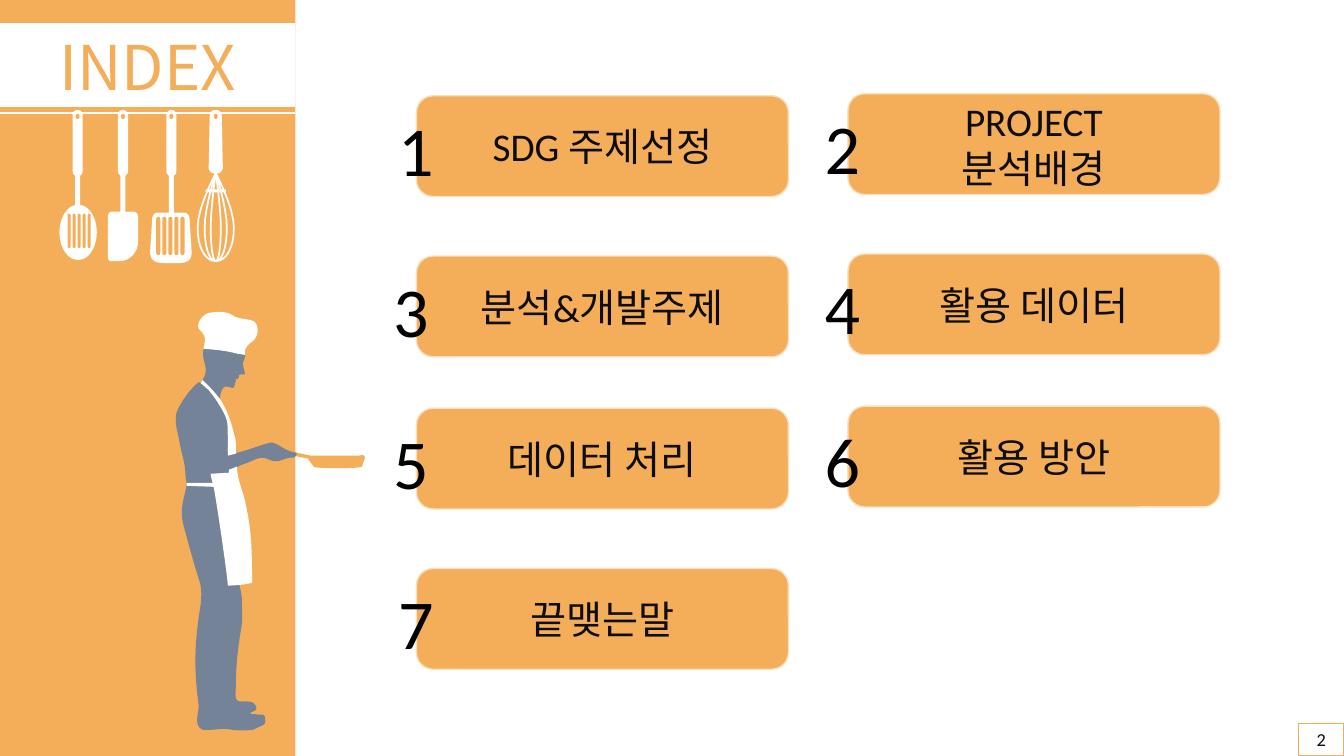
from pptx import Presentation
from pptx.dml.color import RGBColor
from pptx.enum.shapes import MSO_CONNECTOR, MSO_SHAPE
from pptx.enum.text import MSO_ANCHOR, MSO_AUTO_SIZE, PP_ALIGN
from pptx.util import Inches, Pt
from lxml import etree

RECT, ROUND, OVAL = MSO_SHAPE.RECTANGLE, MSO_SHAPE.ROUNDED_RECTANGLE, MSO_SHAPE.OVAL
STRAIGHT = MSO_CONNECTOR.STRAIGHT
TOP, MIDDLE = MSO_ANCHOR.TOP, MSO_ANCHOR.MIDDLE
LEFT, CENTER = PP_ALIGN.LEFT, PP_ALIGN.CENTER
NO_AUTOFIT = MSO_AUTO_SIZE.NONE
DRAWING_NS = "http://schemas.openxmlformats.org/drawingml/2006/main"

ORANGE, PALE, SLATE, WHITE = "F4AE59", "FBDFBD", "748398", "FFFFFF"
INK, BLACK = "0D0D0D", "000000"
BODY_FONT, TITLE_FONT = "Calibri", "Noto Sans CJK KR"
PANEL_WIDTH = 2.93

# Outlines in inches: a start point, then lines (2 numbers) or Bézier curves (6 numbers).
PAN = """3.62 4.54, 3.61 4.5 3.58 4.52 3.55 4.52, 3.1 4.52, 3.08 4.52, 2.85 4.47, 2.85 4.51,
3.06 4.55, 3.06 4.56 3.06 4.57 3.07 4.57, 3.08 4.6 3.1 4.6 3.11 4.63, 3.13 4.65 3.57 4.65 3.59 4.63"""
ARM_AND_HEAD = """2.93 4.49, 2.81 4.47 2.77 4.4 2.69 4.39, 2.56 4.42 2.38 4.5 2.26 4.51,
2.25 4.42 2.29 4.23 2.24 4.1, 2.23 4.07 2.2 4.02 2.18 3.98, 2.18 3.98 2.18 3.8 2.27 3.84,
2.29 3.84 2.31 3.86 2.32 3.84, 2.33 3.83 2.33 3.79 2.34 3.78, 2.35 3.77 2.34 3.77 2.33 3.76,
2.36 3.76 2.37 3.76 2.37 3.72, 2.39 3.71 2.42 3.72 2.43 3.71, 2.43 3.69 2.41 3.65 2.41 3.6,
2.42 3.57 2.44 3.53 2.43 3.5, 2.39 3.3 2.1 3.27 2.02 3.46, 1.99 3.57 2.08 3.65 2.02 3.75"""
BACK = """1.99 3.8, 1.97 3.79 1.98 3.79 1.96 3.8, 1.87 3.88 1.81 3.97 1.76 4.07,
1.72 4.17 1.76 4.27 1.78 4.38, 1.8 4.51 1.84 4.59 1.84 4.72, 1.85 4.79, 1.85 4.82,
1.82 4.97 1.78 5.06 1.82 5.21, 1.86 5.36 1.93 5.62 1.98 5.77, 2 5.83 2 5.93 1.99 6,
1.93 6.36 1.92 6.63 1.97 6.99"""
FEET = """1.98 7.06 1.91 7.2 2.01 7.24, 2.04 7.25 2.21 7.23 2.24 7.23,
2.33 7.25 2.43 7.25 2.51 7.24, 2.53 7.23 2.56 7.22 2.57 7.21, 2.61 7.2 2.64 7.18 2.63 7.13,
2.63 7.08 2.59 7.09 2.56 7.09, 2.52 7.08 2.51 7.09 2.48 7.08, 2.5 7.05 2.56 7.06 2.54 7.01,
2.52 6.95 2.45 6.96 2.41 6.96, 2.31 6.97 2.34 6.89 2.34 6.79"""
FRONT = """2.34 6.6 2.36 6.43 2.39 6.25,
2.41 6.13 2.4 6.08 2.4 5.95, 2.4 5.93 2.39 5.86 2.38 5.83, 2.37 5.78 2.38 5.72 2.38 5.67,
2.36 5.39 2.38 5.24 2.33 4.96, 2.32 4.94 2.25 4.68 2.3 4.66, 2.36 4.64 2.36 4.62 2.43 4.6,
2.51 4.58 2.57 4.51 2.67 4.56, 2.76 4.61 2.83 4.53 2.91 4.54, 2.93 4.54 2.96 4.49 2.93 4.49"""
BODY_PARTS = [ARM_AND_HEAD, BACK, FEET, FRONT]
HAT = """2.02 3.46, 2.03 3.38 2.06 3.35 1.98 3.27, 1.93 3.23 2.01 3.1 2.1 3.1,
2.18 3.09 2.25 3.09 2.31 3.13, 2.36 3.16 2.4 3.16 2.46 3.17, 2.51 3.18 2.54 3.19 2.55 3.24,
2.57 3.3 2.54 3.36 2.5 3.39, 2.46 3.42 2.42 3.45 2.43 3.52, 2.41 3.52 2.38 3.51 2.36 3.51,
2.25 3.48 2.15 3.47 2.02 3.46"""
STRAP = """2.07 3.87, 2.16 3.98 2.23 4.1 2.25 4.17, 2.26 4.19 2.26 4.37 2.26 4.52, 2.34 4.5,
2.34 4.41 2.34 4.36 2.33 4.34, 2.32 4.3 2.28 4.11 2.19 3.97, 2.14 3.9 2.08 3.84 2.01 3.77, 1.99 3.8"""
APRON = """2.44 5.02, 2.42 4.9 2.39 4.86 2.36 4.72, 2.36 4.7 2.35 4.69 2.35 4.63, 2.27 4.66,
2.27 4.69, 2.24 4.69 2.12 4.7 2.09 4.7, 2.09 4.72 2.1 4.76 2.11 4.79, 1.85 4.79, 1.85 4.82, 2.12 4.83,
2.18 5.18 2.26 5.76 2.26 5.81, 2.3 5.81 2.46 5.8 2.5 5.78, 2.5 5.53 2.5 5.27 2.44 5.02"""
TURNER = """1.62 2.61, 1.77 2.61, 1.85 2.61 1.91 2.59 1.9 2.48, 1.88 2.17, 1.88 2.13 1.85 2.11 1.82 2.11,
1.57 2.11, 1.54 2.11 1.51 2.13 1.51 2.17, 1.49 2.48, 1.48 2.59 1.55 2.61 1.62 2.61"""
SCRAPER = """1.11 2.1, 1.32 2.1, 1.35 2.1 1.37 2.12 1.37 2.15, 1.37 2.4, 1.37 2.5 1.29 2.59 1.19 2.59,
1.1 2.59, 1.08 2.59 1.07 2.57 1.07 2.55, 1.07 2.15, 1.07 2.12 1.09 2.1 1.11 2.1"""
WHISK_HANDLE = """2.11 1.72, 2.17 1.72, 2.19 1.71 2.21 1.69 2.21 1.66, 2.2 1.15,
2.2 1.11 2.17 1.09 2.14 1.09, 2.11 1.09 2.08 1.11 2.08 1.15, 2.07 1.66, 2.07 1.69 2.09 1.71 2.11 1.72"""

TOPICS = [["SDG 주제선정"], ["PROJECT", "분석배경"], ["분석&개발주제"], ["활용 데이터"],
          ["데이터 처리"], ["활용 방안"], ["끝맺는말"]]
ROW_TOPS = [0.95, 2.54, 4.05, 5.64]


def rgb(color):
    return RGBColor.from_string(color)


def paint(sp, fill=None, line=None, width=1):
    sp.shadow.inherit = False
    if fill:
        sp.fill.solid()
        sp.fill.fore_color.rgb = rgb(fill)
    else:
        sp.fill.background()
    if line:
        sp.line.color.rgb = rgb(line)
        sp.line.width = Pt(width)
    else:
        sp.line.fill.background()


def add_box(s, kind, x, y, w, h, **look):
    sp = s.shapes.add_shape(kind, Inches(x), Inches(y), Inches(w), Inches(h))
    paint(sp, **look)
    return sp


def write(sp, lines, size=28, color=INK, font=BODY_FONT, align=CENTER, anchor=MIDDLE, spacing=None):
    tf = sp.text_frame
    tf.word_wrap = True
    tf.vertical_anchor = anchor
    for i, line in enumerate(lines):
        p = tf.paragraphs[0] if i == 0 else tf.add_paragraph()
        p.alignment = align
        p.line_spacing = spacing
        r = p.add_run()
        r.text = line
        r.font.size, r.font.name = Pt(size), font
        r.font.color.rgb = rgb(color)


def trace(outline, steps=8):
    """Turn an outline into points, sampling each curve."""
    points = []
    for segment in outline.split(","):
        n = [float(v) for v in segment.split()]
        if len(n) == 2:
            points.append(tuple(n))
            continue
        x0, y0 = points[-1]
        for i in range(1, steps + 1):
            t = i / steps
            u = 1 - t
            a, b, c, d = u ** 3, 3 * u * u * t, 3 * u * t * t, t ** 3
            points.append((a * x0 + b * n[0] + c * n[2] + d * n[4],
                           a * y0 + b * n[1] + c * n[3] + d * n[5]))
    return points


def add_outline(s, outline, close=True, **look):
    points = [(Inches(x), Inches(y)) for x, y in trace(outline)]
    builder = s.shapes.build_freeform(*points[0])
    builder.add_line_segments(points[1:], close=close)
    paint(builder.convert_to_shape(), **look)


def add_rail(s, y):
    rail = s.shapes.add_connector(STRAIGHT, 0, Inches(y), Inches(PANEL_WIDTH), Inches(y))
    rail.line.color.rgb = rgb(WHITE)
    rail.line.width = Pt(1.5)
    etree.SubElement(rail.element.spPr, f"{{{DRAWING_NS}}}effectLst")


def add_hole(s, x):
    add_box(s, OVAL, x - 0.02, 1.13, 0.04, 0.05, fill=ORANGE)


def add_handle(s, x, rod):
    """Draw a hanging grip centred on x with a rod of the given length."""
    add_box(s, ROUND, x - 0.05, 1.09, 0.1, 0.66, fill=WHITE).adjustments[0] = 0.5
    add_box(s, RECT, x - 0.025, 1.69, 0.05, rod, fill=WHITE)
    add_hole(s, x)


def add_slots(s, x, y, step, w, h):
    for i in range(5):
        add_box(s, ROUND, x + i * step, y, w, h, fill=ORANGE).adjustments[0] = 0.5


def add_whisk(s):
    x = 2.14
    for dx in (-0.18, -0.11, -0.05, 0.05, 0.11, 0.18):
        side = x + dx
        wire = (f"{x} 1.72, {x} 1.72 {side} 2.05 {side} 2.26, "
                f"{side} 2.45 {x + dx * 0.6} 2.59 {x} 2.59")
        add_outline(s, wire, close=False, line=WHITE, width=1.25)
    add_box(s, RECT, 2.04, 1.88, 0.2, 0.03, fill=WHITE)
    add_outline(s, WHISK_HANDLE, fill=WHITE)
    add_hole(s, x)


def add_utensils(s):
    for x, rod in ((0.77, 0.37), (1.22, 0.43), (1.7, 0.43)):
        add_handle(s, x, rod)
    add_box(s, OVAL, 0.59, 2.03, 0.37, 0.55, fill=WHITE)
    add_slots(s, 0.67, 2.12, 0.05, 0.03, 0.34)
    add_outline(s, SCRAPER, fill=WHITE)
    add_outline(s, TURNER, fill=WHITE)
    add_slots(s, 1.55, 2.15, 0.06, 0.04, 0.38)
    add_whisk(s)


def add_title(s, text):
    title = s.shapes.title
    title.left, title.top = Inches(0), Inches(0.28)
    title.width, title.height = Inches(PANEL_WIDTH), Inches(0.78)
    paint(title, fill=WHITE)
    write(title, [text], size=44, color=ORANGE, font=TITLE_FONT, spacing=0.9)
    tf = title.text_frame
    tf.auto_size = NO_AUTOFIT
    tf.margin_top = Inches(0.1)
    title.element.getparent().append(title.element)  # bring in front of the panel


def add_topic(s, index, lines):
    row, column = divmod(index, 2)
    x, y = (8.41, ROW_TOPS[row] - 0.02) if column else (4.13, ROW_TOPS[row])
    button = add_box(s, ROUND, x, y, 3.69, 1, fill=ORANGE, line=PALE)
    write(button, lines)
    number_x = 8.08 if column else 3.85 if row in (0, 3) else 3.8
    number = s.shapes.add_textbox(Inches(number_x), Inches(y + 0.06), Inches(0.66), Inches(0.94))
    write(number, [str(index + 1)], size=50, color=BLACK, align=LEFT, anchor=TOP)


def main():
    prs = Presentation()
    prs.slide_width, prs.slide_height = Inches(13.33), Inches(7.5)
    s = prs.slides.add_slide(prs.slide_layouts[5])
    add_box(s, RECT, 0, 0, PANEL_WIDTH, 7.5, fill=ORANGE)
    add_outline(s, PAN, fill=ORANGE)
    add_outline(s, ", ".join(BODY_PARTS), fill=SLATE)
    for outline in (HAT, STRAP, APRON):
        add_outline(s, outline, fill=WHITE)
    add_rail(s, 1.12)
    add_utensils(s)
    add_box(s, RECT, 0, 0.23, PANEL_WIDTH, 0.78, fill=WHITE)
    add_title(s, "INDEX")
    page = add_box(s, RECT, 12.88, 7.18, 0.45, 0.32, line=ORANGE, width=0.75)
    write(page, ["2"], size=13, color="0C0C0C", anchor=TOP)
    for index, lines in enumerate(TOPICS):
        add_topic(s, index, lines)
    prs.save("out.pptx")


if __name__ == "__main__":
    main()
